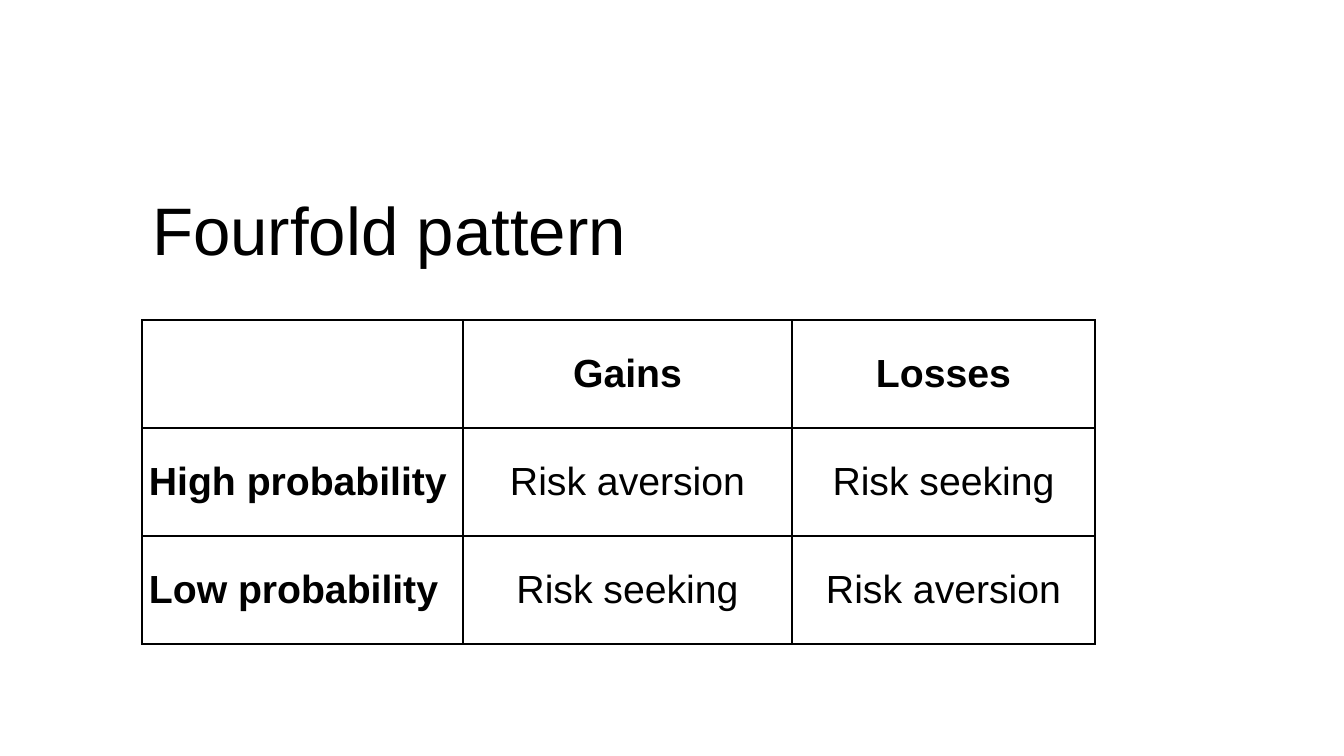
from lxml import etree
from pptx import Presentation, util as u
from pptx.dml import color
from pptx.enum import text
from pptx.oxml import ns

EMU_PER_PX = 914400 / 100.8
FONT = "Arial"


def px(length):
    return u.Emu(round(length * EMU_PER_PX))


def add_run(paragraph, words, size, bold=False):
    run = paragraph.add_run()
    run.text = words
    run.font.name = FONT
    run.font.size = u.Pt(size)
    run.font.bold = bold
    run.font.color.rgb = color.RGBColor.from_string("000000")


presentation = Presentation()
presentation.slide_width = px(1344)
presentation.slide_height = px(756)
slide = presentation.slides.add_slide(presentation.slide_layouts[5])

# Title
title = slide.shapes.title
title.left, title.top, title.width, title.height = px(142), px(183), px(500), px(92)
title.text_frame.word_wrap = False
title.text_frame.vertical_anchor = text.MSO_ANCHOR.MIDDLE
paragraph = title.text_frame.paragraphs[0]
paragraph.alignment = text.PP_ALIGN.LEFT
add_run(paragraph, "Fourfold pattern", 48)

# Table grid
ROWS = [
    ["", "Gains", "Losses"],
    ["High probability", "Risk aversion", "Risk seeking"],
    ["Low probability", "Risk seeking", "Risk aversion"],
]
COLUMN_WIDTHS = [321, 329, 303]
ROW_HEIGHT = 108
table = slide.shapes.add_table(
    len(ROWS), len(COLUMN_WIDTHS), px(142), px(320),
    px(sum(COLUMN_WIDTHS)), px(ROW_HEIGHT * len(ROWS))).table
table.first_row = False
table.horz_banding = False
for column, width in zip(table.columns, COLUMN_WIDTHS):
    column.width = px(width)

# Cells: bold headings, centred values, thin black borders
for i, row in enumerate(ROWS):
    table.rows[i].height = px(ROW_HEIGHT)
    for j, words in enumerate(row):
        cell = table.cell(i, j)
        side, end = (7, 15) if j == 0 else (2, 2)
        cell.margin_left = cell.margin_right = px(side)
        cell.margin_top = cell.margin_bottom = px(end)
        cell.vertical_anchor = text.MSO_ANCHOR.MIDDLE
        cell.fill.solid()
        cell.fill.fore_color.rgb = color.RGBColor.from_string("FFFFFF")
        if words:
            paragraph = cell.text_frame.paragraphs[0]
            paragraph.alignment = text.PP_ALIGN.CENTER if j else text.PP_ALIGN.LEFT
            add_run(paragraph, words, 28, bold=i == 0 or j == 0)
        properties = cell._tc.get_or_add_tcPr()
        for position, edge in enumerate(["lnL", "lnR", "lnT", "lnB"]):
            line = etree.Element(ns.qn("a:" + edge), w=str(u.Pt(1)))
            fill = etree.SubElement(line, ns.qn("a:solidFill"))
            etree.SubElement(fill, ns.qn("a:srgbClr"), val="000000")
            properties.insert(position, line)

presentation.save("out.pptx")
